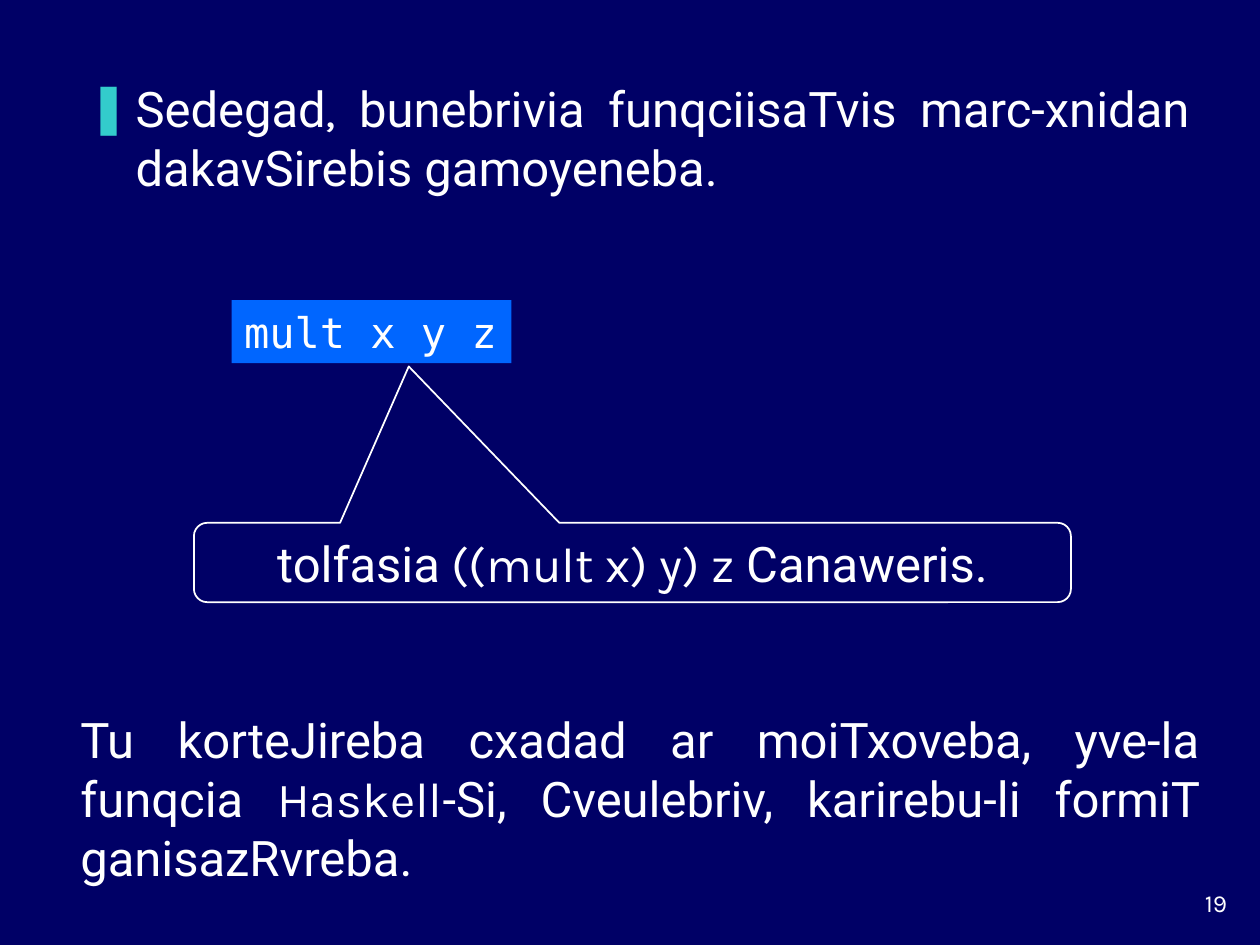
"""Build the slide on left-to-right function application."""
from dataclasses import dataclass

from lxml import etree
from pptx import Presentation
from pptx.dml.color import RGBColor
from pptx.enum.shapes import MSO_SHAPE
from pptx.enum.text import MSO_ANCHOR, MSO_AUTO_SIZE, PP_ALIGN
from pptx.oxml.ns import qn
from pptx.util import Cm, Pt

RECT, CALL = MSO_SHAPE.RECTANGLE, MSO_SHAPE.ROUNDED_RECTANGULAR_CALLOUT
TOP, MID = MSO_ANCHOR.TOP, MSO_ANCHOR.MIDDLE
LEFT, RIGHT, MIDDLE, JUST = PP_ALIGN.LEFT, PP_ALIGN.RIGHT, PP_ALIGN.CENTER, PP_ALIGN.JUSTIFY
FIXED, GROW = MSO_AUTO_SIZE.NONE, MSO_AUTO_SIZE.SHAPE_TO_FIT_TEXT


@dataclass(frozen=True)
class Theme:
    back: str = "000066"
    ink: str = "FFFFFF"
    box: str = "0066FF"
    mark: str = "33CCCC"
    main: str = "Roboto"
    alt: str = "Karla"
    mono: str = "DejaVu Sans Mono"
    big: float = 28
    code: float = 24
    small: float = 14


T = Theme()

POINT = [
    ("Sedegad", T.main),
    (", ", T.alt),
    ("bunebrivia funqciisaTvis marc-xnidan dakavSirebis gamoyeneba.", T.main),
]
CODE = [("mult x y z", T.mono)]
MEANING = [("tolfasia", T.main), (" ((mult x) y) z ", T.alt), ("Canaweris.", T.main)]
NOTE = [
    ("Tu korteJireba cxadad ar moiTxoveba, yve-la funqcia ", T.main),
    ("Haskell", T.alt),
    ("-Si, Cveulebriv, karirebu-li formiT ganisazRvreba.", T.main),
]
NUMBER = [("19", T.alt)]

PLACES = {
    "point": (1.52, 1.45, 22.71, 2.97),
    "code": (4.67, 6.05, 5.64, 1.27),
    "meaning": (3.91, 10.54, 17.68, 1.6),
    "note": (1.37, 14.17, 23.06, 3.84),
    "number": (23.29, 17.78, 1.7, 0.84),
}
TAIL = (-0.255, -2.47, 0.167)


def color(code):
    return RGBColor.from_string(code)


def place(name):
    return [Cm(n) for n in PLACES[name]]


def write(shape, runs, size=T.big, align=LEFT, anchor=TOP, wrap=True, fit=FIXED):
    frame = shape.text_frame
    frame.word_wrap, frame.auto_size = wrap, fit
    frame.vertical_anchor = anchor
    para = frame.paragraphs[0]
    para.alignment = align
    for text, face in runs:
        run = para.add_run()
        run.text = text
        run.font.name, run.font.size = face, Pt(size)
        run.font.color.rgb = color(T.ink)
    return para


def bullet(para, sign, tint, indent):
    para.space_before = Pt(T.big * 0.2)
    props = para._p.get_or_add_pPr()
    props.set("marL", str(indent))
    props.set("indent", str(-indent))
    paint = etree.SubElement(props, qn("a:buClr"))
    etree.SubElement(paint, qn("a:srgbClr"), val=tint)
    etree.SubElement(props, qn("a:buFont"), typeface=T.main)
    etree.SubElement(props, qn("a:buChar"), char=sign)


def panel(slide, kind, name, fill=None, line=None):
    shape = slide.shapes.add_shape(kind, *place(name))
    shape.shadow.inherit = False
    if fill:
        shape.fill.solid()
        shape.fill.fore_color.rgb = color(fill)
    else:
        shape.fill.background()
    if line:
        shape.line.color.rgb = color(line)
        shape.line.width = Pt(1)
    else:
        shape.line.fill.background()
    return shape


def main():
    deck = Presentation()
    deck.slide_width, deck.slide_height = Cm(25.4), Cm(19.05)
    slide = deck.slides.add_slide(deck.slide_layouts[1])
    slide.background.fill.solid()
    slide.background.fill.fore_color.rgb = color(T.back)
    title = slide.shapes.title.element
    title.getparent().remove(title)

    body = slide.placeholders[1]
    body.left, body.top, body.width, body.height = place("point")
    bullet(write(body, POINT, align=JUST), "❚", T.mark, Cm(0.96))

    code = panel(slide, RECT, "code", fill=T.box)
    write(code, CODE, size=T.code, anchor=MID, wrap=False, fit=GROW)

    call = panel(slide, CALL, "meaning", line=T.ink)
    for i, value in enumerate(TAIL):
        call.adjustments[i] = value
    write(call, MEANING, align=MIDDLE, anchor=MID, fit=GROW)

    note = slide.shapes.add_textbox(*place("note"))
    write(note, NOTE, align=JUST, anchor=MID, fit=GROW)
    number = slide.shapes.add_textbox(*place("number"))
    write(number, NUMBER, size=T.small, align=RIGHT)
    deck.save("out.pptx")


if __name__ == "__main__":
    main()
